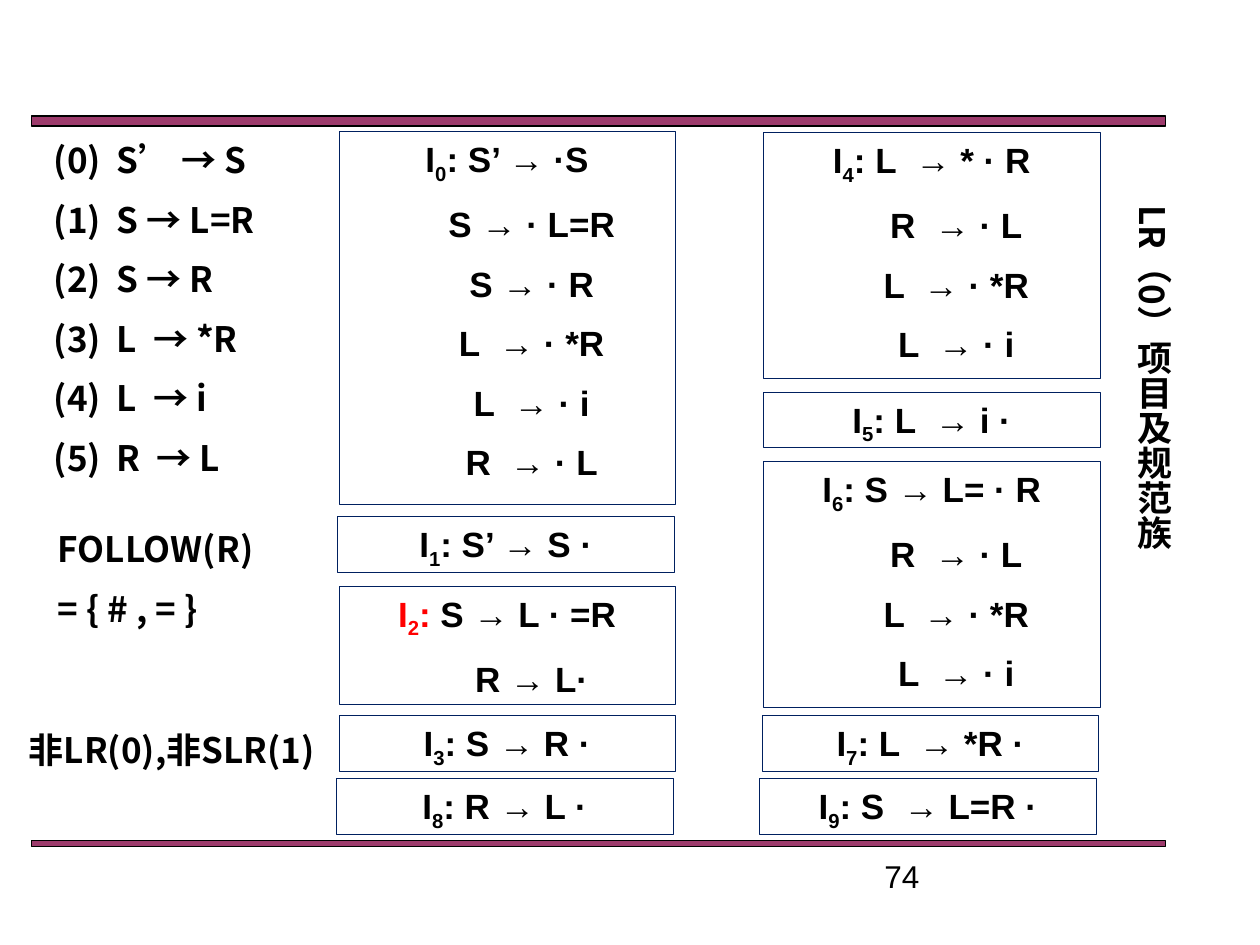
from dataclasses import dataclass

from lxml import etree
from pptx import Presentation
from pptx.dml.color import RGBColor
from pptx.enum.shapes import MSO_SHAPE
from pptx.enum.text import MSO_ANCHOR, MSO_AUTO_SIZE, PP_ALIGN
from pptx.oxml.ns import qn
from pptx.util import Inches, Pt

RECT = MSO_SHAPE.RECTANGLE
TOP = MSO_ANCHOR.TOP
GROW, FIXED = MSO_AUTO_SIZE.SHAPE_TO_FIT_TEXT, MSO_AUTO_SIZE.NONE
LEFT, CENTER = PP_ALIGN.LEFT, PP_ALIGN.CENTER

COLORS = {"text": "000000", "mark": "FF0000", "edge": "002060", "bar": "993366"}
LATIN, HAN = "Arial", "Noto Sans CJK SC"
WIDE = 2.67
BOLD = {"size": Pt(20), "bold": True}
PLAIN = {"size": Pt(18), "bold": False}


@dataclass
class ItemSet:
    """One state of the automaton; the first item follows its label."""
    num: int
    left: float
    top: float
    items: list[str]
    tint: str = "text"


@dataclass
class Note:
    left: float
    top: float
    lines: list[str]


SETS = [
    ItemSet(0, 2.69, 1.04, ["S’ → ·S", "S → · L=R", "S → · R",
                            "L  → · *R", "L  → · i", "R  → · L"]),
    ItemSet(1, 2.68, 4.1, ["S’ → S ·"]),
    ItemSet(2, 2.69, 4.65, ["S → L · =R", "R → L·"], "mark"),
    ItemSet(3, 2.69, 5.68, ["S → R ·"]),
    ItemSet(4, 6.06, 1.05, ["L  → * · R", "R  → · L", "L  → · *R", "L  → · i"]),
    ItemSet(5, 6.06, 3.11, ["L  → i ·"]),
    ItemSet(6, 6.06, 3.66, ["S → L= · R", "R  → · L", "L  → · *R", "L  → · i"]),
    ItemSet(7, 6.05, 5.68, ["L  → *R ·"]),
    ItemSet(8, 2.67, 6.18, ["R → L ·"]),
    ItemSet(9, 6.03, 6.18, ["S  → L=R ·"]),
]

NOTES = [
    Note(0.33, 1.05, ["(0)  S’ → S", "(1)  S → L=R", "(2)  S → R",
                      "(3)  L  → *R", "(4)  L  → i", "(5)  R  → L"]),
    Note(0.36, 4.14, ["FOLLOW(R)", "= { # , = }"]),
    Note(0.13, 5.73, ["非LR(0),非SLR(1)"]),
]


def paint(color, name: str) -> None:
    color.rgb = RGBColor.from_string(COLORS[name])


def height(rows: int) -> float:
    return round(0.44 + 0.504 * (rows - 1), 2)


def set_frame(frame, fit=GROW) -> None:
    for key, val in {"word_wrap": True, "auto_size": fit,
                     "vertical_anchor": TOP}.items():
        setattr(frame, key, val)


def add_para(frame, first: bool, align, indent: float = 0):
    para = frame.paragraphs[0] if first else frame.add_paragraph()
    para.alignment = align
    props = para._p.get_or_add_pPr()
    if indent:
        props.set("marL", str(Inches(indent)))
        props.set("indent", "0")
    # Half a line of space before
    space = etree.SubElement(props, qn("a:spcBef"))
    etree.SubElement(space, qn("a:spcPct")).set("val", "50000")
    return para


def add_run(para, text: str, face: str, form: dict, tint: str = "text"):
    run = para.add_run()
    run.text = text
    for key, val in form.items():
        setattr(run.font, key, val)
    paint(run.font.color, tint)
    run.font.name = face
    etree.SubElement(run._r.rPr, qn("a:ea")).set("typeface", face)
    return run


def add_rect(slide, left: float, top: float, width: float, high: float):
    rect = slide.shapes.add_shape(RECT, *map(Inches, (left, top, width, high)))
    rect.shadow.inherit = False
    return rect


def draw_bar(slide, top: float, high: float) -> None:
    bar = add_rect(slide, 0.25, top, 9, high)
    bar.fill.solid()
    paint(bar.fill.fore_color, "bar")
    tone = bar._element.spPr.find(qn("a:solidFill"))[0]
    etree.SubElement(tone, qn("a:alpha")).set("val", "96000")
    paint(bar.line.color, "text")
    bar.line.width = Pt(0.75)


def draw_set(slide, state: ItemSet) -> None:
    box = add_rect(slide, state.left, state.top, WIDE, height(len(state.items)))
    box.fill.background()
    paint(box.line.color, "edge")
    box.line.width = Pt(0.25)
    frame = box.text_frame
    set_frame(frame)
    head, *rest = state.items
    para = add_para(frame, True, CENTER)
    add_run(para, "I", LATIN, BOLD, state.tint)
    sub = add_run(para, str(state.num), LATIN, BOLD, state.tint)
    sub._r.rPr.set("baseline", "-25000")
    add_run(para, ":", LATIN, BOLD, state.tint)
    add_run(para, " " + head, LATIN, BOLD)
    for item in rest:
        add_run(add_para(frame, False, CENTER, 0.39), item, LATIN, BOLD)


def draw_note(slide, note: Note) -> None:
    size = (note.left, note.top, WIDE, height(len(note.lines)))
    frame = slide.shapes.add_textbox(*map(Inches, size)).text_frame
    set_frame(frame)
    for row, line in enumerate(note.lines):
        add_run(add_para(frame, row == 0, LEFT), line, HAN, BOLD)


def draw_title(slide, text: str) -> None:
    title = slide.shapes.title
    place = {"left": 8.54, "top": 1.58, "width": 0.88, "height": 4.25}
    for key, val in place.items():
        setattr(title, key, Inches(val))
    frame = title.text_frame
    set_frame(frame)
    frame._txBody.bodyPr.set("vert", "eaVert")
    para = frame.paragraphs[0]
    para.alignment = CENTER
    add_run(para, text, HAN, BOLD)


def draw_page(slide, text: str) -> None:
    box = slide.shapes.add_textbox(*map(Inches, (6.92, 6.75, 2.33, 0.27)))
    set_frame(box.text_frame, FIXED)
    add_run(box.text_frame.paragraphs[0], text, LATIN, PLAIN)


def main() -> None:
    deck = Presentation()
    deck.slide_width, deck.slide_height = Inches(10), Inches(7.5)
    slide = deck.slides.add_slide(deck.slide_layouts[5])

    # Rules above and below the content
    draw_bar(slide, 0.92, 0.08)
    draw_bar(slide, 6.67, 0.05)

    # Item sets, grammar and remarks
    for state in SETS:
        draw_set(slide, state)
    for note in NOTES:
        draw_note(slide, note)

    # Vertical title and page number
    draw_title(slide, "LR（0）项目及规范族")
    draw_page(slide, "74")
    deck.save("out.pptx")


if __name__ == "__main__":
    main()
